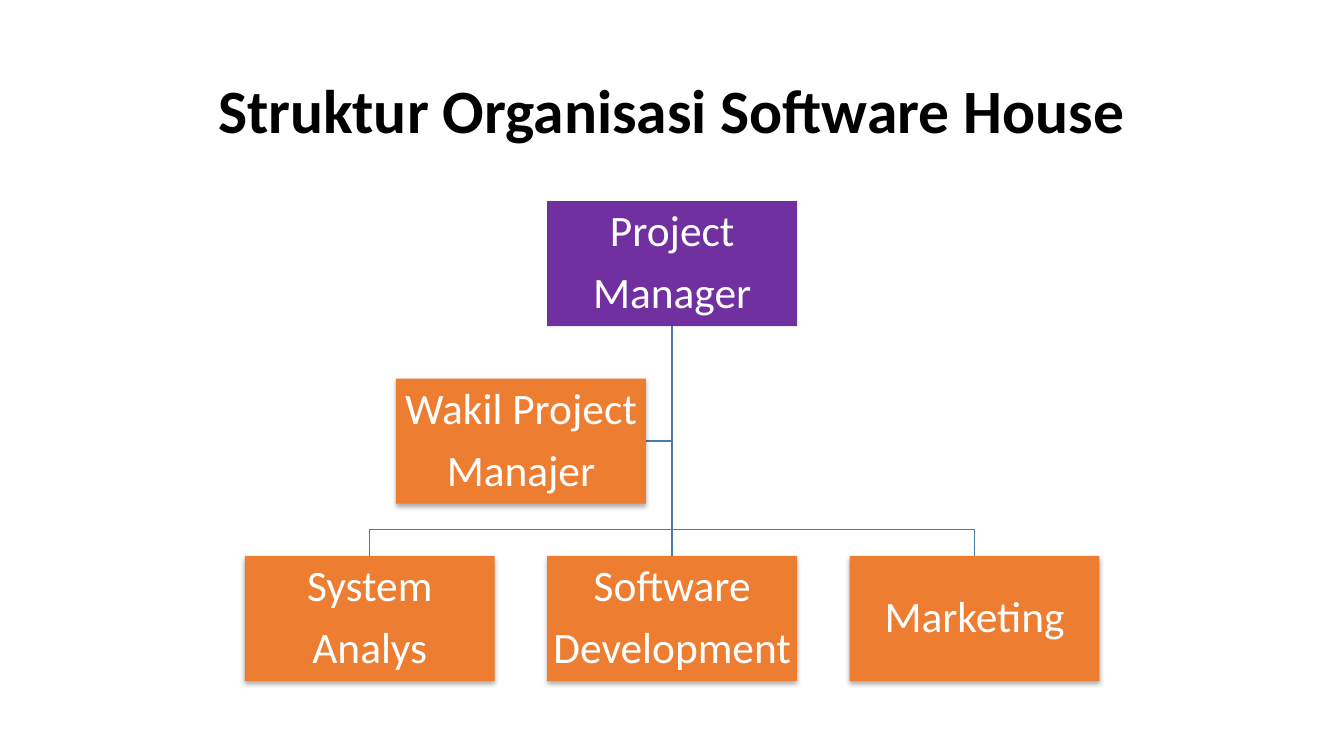
from collections import namedtuple
from dataclasses import dataclass

from lxml import etree
from pptx import Presentation
from pptx import util as u
from pptx.dml.color import RGBColor
from pptx.enum import shapes, text
from pptx.oxml import ns

Box = namedtuple("Box", "left top width height")


@dataclass(frozen=True)
class Theme:
    """Colours, type and line sizes of the slide."""
    font: str = "Calibri"
    title_size: float = 44
    role_size: float = 31
    role_gap: float = 10.85
    line_width: float = 1
    title: str = "000000"
    role: str = "FFFFFF"
    manager: str = "7030A0"
    team: str = "ED7D31"
    line: str = "497CAB"


THEME = Theme()
ROLE_WIDTH, ROLE_HEIGHT, GAP = 6.3, 3.15, 1.32


def write(frame, lines, size, color, bold=False, space_after=0):
    """Fill a text frame with centred lines, one paragraph each."""
    frame.word_wrap = True
    frame.vertical_anchor = text.MSO_ANCHOR.MIDDLE
    frame.text = "\n".join(lines)
    for line in frame.paragraphs:
        line.alignment = text.PP_ALIGN.CENTER
        line.line_spacing = 0.9
        line.space_after = u.Pt(space_after)
        line.font.name = THEME.font
        line.font.size = u.Pt(size)
        line.font.bold = bold
        line.font.color.rgb = RGBColor.from_string(color)


def add_title(slide, box, title):
    """Place the slide title in its box."""
    heading = slide.shapes.add_textbox(*map(u.Cm, box))
    write(heading.text_frame, [title], THEME.title_size, THEME.title, bold=True)


def add_soft_shadow(card):
    """Give a card a soft shadow falling straight down."""
    effects = card._element.spPr.find(ns.qn("a:effectLst"))
    shadow = etree.SubElement(effects, ns.qn("a:outerShdw"), blurRad=str(u.Pt(3.5)),
                              dist=str(u.Pt(2.2)), dir="5400000", rotWithShape="0")
    black = etree.SubElement(shadow, ns.qn("a:srgbClr"), val="000000")
    etree.SubElement(black, ns.qn("a:alpha"), val="32000")


def add_role(slide, left, top, lines, fill, raised=True):
    """Draw one role card of the chart."""
    card = slide.shapes.add_shape(shapes.MSO_SHAPE.RECTANGLE, u.Cm(left), u.Cm(top),
                                  u.Cm(ROLE_WIDTH), u.Cm(ROLE_HEIGHT))
    card.shadow.inherit = False
    card.fill.solid()
    card.fill.fore_color.rgb = RGBColor.from_string(fill)
    card.line.fill.background()
    if raised:
        add_soft_shadow(card)
    frame = card.text_frame
    frame.margin_left = frame.margin_right = u.Cm(0.05)
    frame.margin_top = frame.margin_bottom = u.Cm(0.05)
    write(frame, lines, THEME.role_size, THEME.role, space_after=THEME.role_gap)


def add_route(slide, *stops):
    """Link two roles: a connector for two stops, a bent outline for more."""
    start, *bends = [(u.Cm(x), u.Cm(y)) for x, y in stops]
    if len(bends) == 1:
        route = slide.shapes.add_connector(shapes.MSO_CONNECTOR.STRAIGHT,
                                           *start, *bends[0])
    else:
        outline = slide.shapes.build_freeform(*start)
        outline.add_line_segments(bends, close=False)
        route = outline.convert_to_shape()
        route.fill.background()
    route.line.color.rgb = RGBColor.from_string(THEME.line)
    route.line.width = u.Pt(THEME.line_width)
    etree.SubElement(route._element.spPr, ns.qn("a:effectLst"))


def add_organisation(slide, box, manager, deputy, divisions):
    """Draw manager, deputy and divisions in three rows inside the box."""
    spine = box.left + box.width / 2
    manager_top, deputy_top, division_top = (
        box.top + row * (ROLE_HEIGHT + GAP) for row in range(3))
    pitch = ROLE_WIDTH + GAP
    branch = division_top - GAP / 2
    deputy_middle = deputy_top + ROLE_HEIGHT / 2
    deputy_right = spine - GAP / 2
    origin = (spine, manager_top + ROLE_HEIGHT)

    add_route(slide, origin, (spine, deputy_middle), (deputy_right, deputy_middle))
    for column in reversed(range(len(divisions))):
        centre = box.left + column * pitch + ROLE_WIDTH / 2
        straight = abs(centre - spine) < 0.01
        bends = [] if straight else [(spine, branch), (centre, branch)]
        add_route(slide, origin, *bends, (centre, division_top))

    add_role(slide, spine - ROLE_WIDTH / 2, manager_top, manager, THEME.manager,
             raised=False)
    for column, division in enumerate(divisions):
        add_role(slide, box.left + column * pitch, division_top, division, THEME.team)
    add_role(slide, deputy_right - ROLE_WIDTH, deputy_top, deputy, THEME.team)


deck = Presentation()
deck.slide_width, deck.slide_height = u.Cm(33.87), u.Cm(19.05)
structure = deck.slides.add_slide(deck.slide_layouts[6])
add_title(structure, Box(2.33, 1.02, 29.21, 3.68), "Struktur Organisasi Software House")
add_organisation(
    structure, Box(6.17, 5.07, 21.54, 12.09),
    manager=["Project", "Manager"],
    deputy=["Wakil Project", "Manajer"],
    divisions=[["System", "Analys"], ["Software", "Development"], ["Marketing"]])
deck.save("out.pptx")
